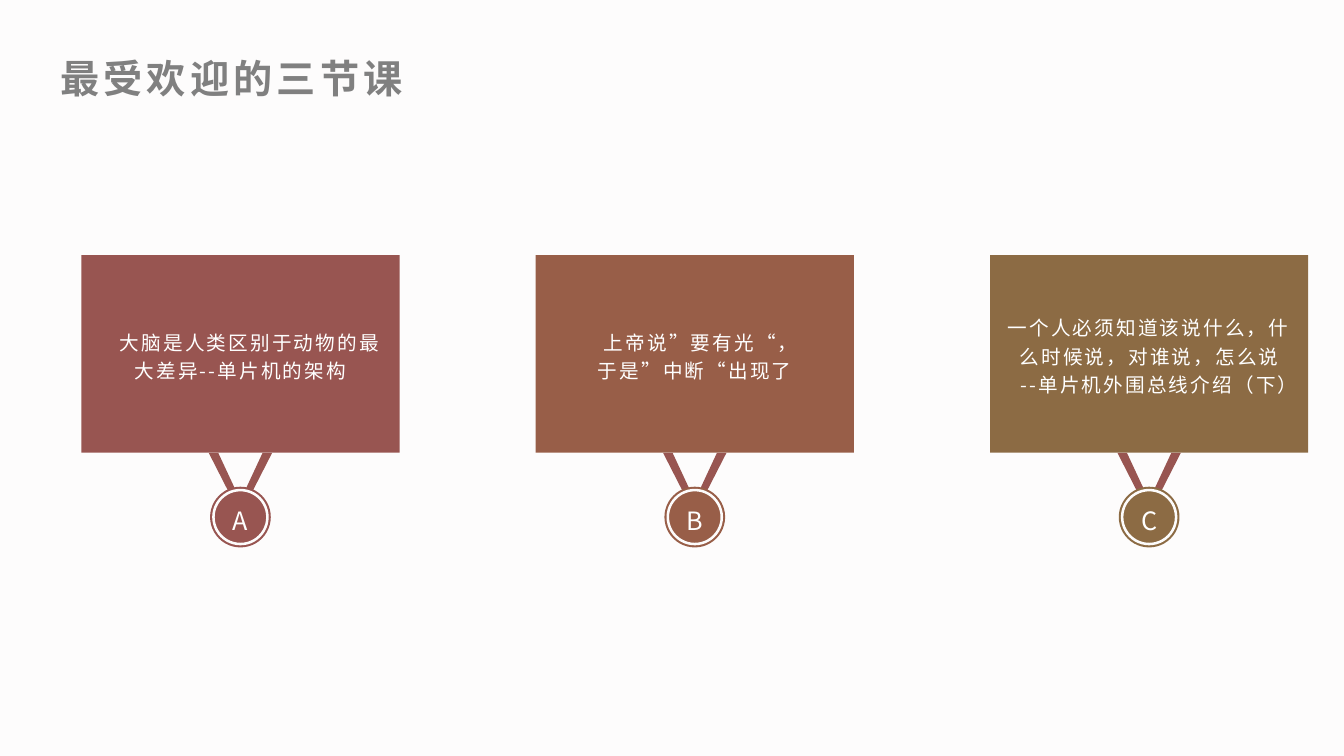
from lxml import etree
from pptx import Presentation, util as u
from pptx.dml.color import RGBColor
from pptx.enum import shapes, text
from pptx.oxml.ns import qn

theme = {
    "font": "Noto Sans CJK SC",
    "paper": "FDFCFC", "heading": "808080", "on_card": "FFFFFF",
    "ribbon": "985551", "cards": ["985551", "985E48", "8C6B44"],
    "heading_size": 28, "card_size": 14, "letter_size": 18,
}


def paint(shape, color):
    shape.shadow.inherit = False
    shape.fill.solid()
    shape.fill.fore_color.rgb = RGBColor.from_string(color)
    shape.line.fill.background()


def write(shape, lines, size, color, align, leading, tracking=0, bold=False):
    """Fill a shape with (wording, first-line indent in cm) paragraphs."""
    frame = shape.text_frame
    frame.word_wrap = True
    frame.vertical_anchor = text.MSO_ANCHOR.MIDDLE
    for number, (wording, indent) in enumerate(lines):
        paragraph = frame.add_paragraph() if number else frame.paragraphs[0]
        paragraph.text = wording
        paragraph.alignment = align
        paragraph.line_spacing = leading
        font = paragraph.font
        font.name, font.size, font.bold = theme["font"], u.Pt(size), bold
        font.color.rgb = RGBColor.from_string(color)
        # East Asian typeface, letter spacing and first-line indent
        properties = paragraph._p.pPr
        properties.set("marL", "0")
        properties.set("indent", str(u.Cm(indent)))
        defaults = properties.find(qn("a:defRPr"))
        defaults.set("spc", str(int(tracking * 100)))
        east_asian = etree.Element(qn("a:ea"), typeface=theme["font"])
        defaults.find(qn("a:latin")).addnext(east_asian)


deck = Presentation()
deck.slide_width, deck.slide_height = u.Cm(33.87), u.Cm(19.05)
slide = deck.slides.add_slide(deck.slide_layouts[6])
slide.background.fill.solid()
slide.background.fill.fore_color.rgb = RGBColor.from_string(theme["paper"])

# Heading
heading = slide.shapes.add_textbox(u.Cm(1.27), u.Cm(0.91), u.Cm(24.56), u.Cm(1.73))
write(heading, [("最受欢迎的三节课", 0)], theme["heading_size"], theme["heading"],
      text.PP_ALIGN.LEFT, 1.3, tracking=3, bold=True)

# Three lessons, each a card with a medal hanging below
lessons = [
    ("A", [("大脑是人类区别于动物的最大差异--单片机的架构", 0.5)]),
    ("B", [("上帝说”要有光“，", 0.3), ("于是”中断“出现了", 0)]),
    ("C", [("一个人必须知道该说什么，什么时候说，对谁说，怎么说", 0),
           ("--单片机外围总线介绍（下）", 0.5)]),
]
card_left, card_top, card_width, card_height, pitch = 2.05, 6.43, 8.02, 4.98, 11.45
card_bottom = card_top + card_height
medal_y = 13.03
strand = [(0.56, 0), (0.8, 0), (0.32, 0.94), (0.14, 0.9)]

for column, (letter, lines) in enumerate(lessons):
    color = theme["cards"][column]
    left = card_left + column * pitch
    center = left + card_width / 2

    # Card
    card = slide.shapes.add_shape(shapes.MSO_SHAPE.RECTANGLE, u.Cm(left), u.Cm(card_top),
                                  u.Cm(card_width), u.Cm(card_height))
    paint(card, color)
    write(card, lines, theme["card_size"], theme["on_card"],
          text.PP_ALIGN.CENTER, 1.2, tracking=1.5)

    # Ribbon: one strand and its mirror image
    for side in (1, -1):
        corners = [(u.Cm(center + side * x), u.Cm(card_bottom + y)) for x, y in strand]
        outline = slide.shapes.build_freeform(*corners[0])
        outline.add_line_segments(corners[1:], close=True)
        paint(outline.convert_to_shape(), theme["ribbon"])

    # Medal: rim, then a disc edged in the paper colour
    for diameter in (1.53, 1.36):
        medal = slide.shapes.add_shape(
            shapes.MSO_SHAPE.OVAL, u.Cm(center - diameter / 2),
            u.Cm(medal_y - diameter / 2), u.Cm(diameter), u.Cm(diameter))
        paint(medal, color)
    medal.line.color.rgb = RGBColor.from_string(theme["paper"])
    medal.line.width = u.Pt(1.8)
    frame = medal.text_frame
    frame.margin_left = frame.margin_right = frame.margin_top = frame.margin_bottom = 0
    write(medal, [(letter, 0)], theme["letter_size"], theme["on_card"],
          text.PP_ALIGN.CENTER, 1.2)

deck.save("out.pptx")
